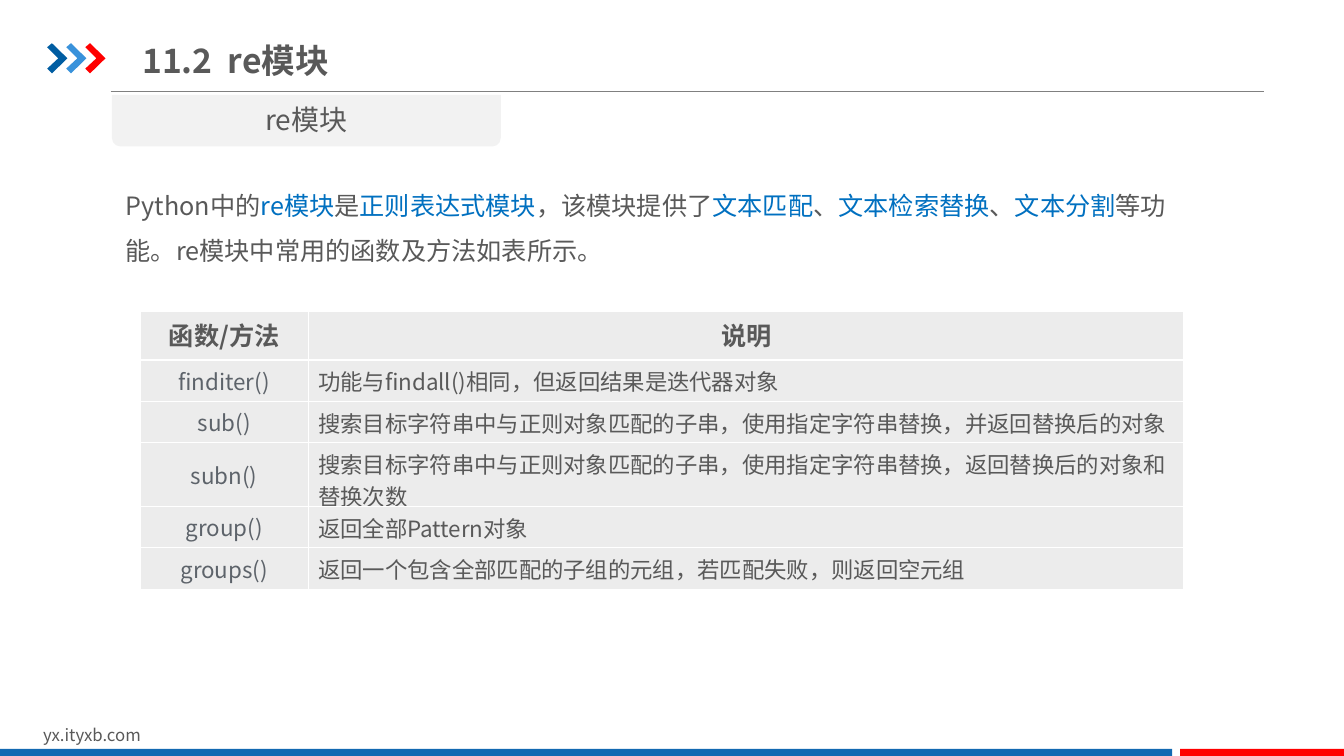
import pptx
import pptx.util
import pptx.dml.color
import pptx.enum.shapes
import pptx.enum.text
import pptx.oxml
import pptx.oxml.ns
from pptx.util import Cm

SHAPE = pptx.enum.shapes.MSO_SHAPE
ALIGN = pptx.enum.text.PP_ALIGN
ANCHOR = pptx.enum.text.MSO_ANCHOR
AUTO = pptx.enum.text.MSO_AUTO_SIZE
qn = pptx.oxml.ns.qn

FONT = "Noto Sans CJK SC"
GREY, BLUE, CODE = "595959", "0070C0", "5D636A"
CELL_FILL, RED = "ECECEC", "FF0000"


def rgb(value):
    return pptx.dml.color.RGBColor.from_string(value)


def apply(target, values):
    for name, value in values.items():
        setattr(target, name, value)


class Deck:
    """Holds the text style and the current slide."""

    def __init__(self, prs):
        self.s = prs.slides.add_slide(prs.slide_layouts[5])
        self.shapes = self.s.shapes

    def fill_text(self, tf, runs, size, para=None, frame=None, bold=False):
        """Fill a text frame with one paragraph of (text, colour) runs."""
        apply(tf, frame or {})
        p = tf.paragraphs[0]
        apply(p, para or {})
        for text, color in runs:
            r = p.add_run()
            r.text = text
            apply(r.font, {"size": pptx.util.Pt(size), "bold": bold, "name": FONT})
            r.font.color.rgb = rgb(color)
            props = r._r.get_or_add_rPr()
            props.find(qn("a:latin")).addnext(
                props.makeelement(qn("a:ea"), {"typeface": FONT}))
        return p

    def paint(self, sp, fill):
        sp.shadow.inherit = False
        sp.fill.solid()
        sp.fill.fore_color.rgb = rgb(fill)
        sp.line.fill.background()
        return sp

    def shape(self, kind, box, fill):
        return self.paint(self.shapes.add_shape(kind, *map(Cm, box)), fill)

    def outline(self, points, fill):
        points = [(Cm(x), Cm(y)) for x, y in points]
        builder = self.shapes.build_freeform(*points[0])
        builder.add_line_segments(points[1:], close=True)
        return self.paint(builder.convert_to_shape(), fill)

    def rule(self, ends, color, width):
        line = self.shapes.add_connector(
            pptx.enum.shapes.MSO_CONNECTOR.STRAIGHT, *map(Cm, ends))
        line.line.color.rgb = rgb(color)
        line.line.width = pptx.util.Pt(width)
        props = line._element.spPr
        props.append(props.makeelement(qn("a:effectLst"), {}))

    def text(self, box, runs, size, para=None, grow=True):
        tf = self.shapes.add_textbox(*map(Cm, box)).text_frame
        auto = AUTO.SHAPE_TO_FIT_TEXT if grow else AUTO.NONE
        self.fill_text(tf, runs, size, para, {"word_wrap": True, "auto_size": auto})

    def title(self, box, text, size):
        sp = self.shapes.title
        apply(sp, dict(zip(("left", "top", "width", "height"), map(Cm, box))))
        frame = {"word_wrap": True, "auto_size": AUTO.NONE,
                 "vertical_anchor": ANCHOR.MIDDLE}
        p = self.fill_text(sp.text_frame, [(text, GREY)], size,
                           {"alignment": ALIGN.LEFT}, frame, bold=True)
        props = p._p.get_or_add_pPr()
        props.set("marL", str(Cm(1.57)))
        props.set("indent", str(-Cm(1.57)))

    def cell(self, cell, text, color, size, align, narrow=False, bold=False):
        side, top = (0.18, 0) if narrow else (0.25, 0.13)
        apply(cell, {"margin_left": Cm(side), "margin_right": Cm(side),
                     "margin_top": Cm(top), "margin_bottom": Cm(top),
                     "vertical_anchor": ANCHOR.MIDDLE if narrow else ANCHOR.TOP})
        self.fill_text(cell.text_frame, [(text, color)], size,
                       {"alignment": align}, bold=bold)
        # Borders stand before the fill in the cell properties
        props = cell._tc.get_or_add_tcPr()
        for side_name in ("lnL", "lnR", "lnT", "lnB"):
            props.append(pptx.oxml.parse_xml(
                f'<a:{side_name} xmlns:a="http://schemas.openxmlformats.org/'
                'drawingml/2006/main" w="12700"><a:solidFill>'
                f'<a:srgbClr val="FFFFFF"/></a:solidFill></a:{side_name}>'))
        cell.fill.solid()
        cell.fill.fore_color.rgb = rgb(CELL_FILL)

    def table(self, left, top, widths, heights, rows):
        box = (left, top, sum(widths), sum(heights))
        table = self.shapes.add_table(
            len(rows), len(widths), *map(Cm, box)).table
        apply(table, {"first_row": False, "horz_banding": False})
        for column, width in zip(table.columns, widths):
            column.width = Cm(width)
        for i, (row, height) in enumerate(zip(rows, heights)):
            table.rows[i].height = Cm(height)
            for j, text in enumerate(row):
                head, name = i == 0, i > 0 and j == 0
                self.cell(table.cell(i, j), text, CODE if name else GREY,
                          18 if head else 16,
                          ALIGN.CENTER if head or name else ALIGN.LEFT,
                          narrow=name, bold=head)


def main():
    prs = pptx.Presentation()
    prs.slide_width, prs.slide_height = Cm(33.87), Cm(19.05)
    deck = Deck(prs)

    # Header: rule, three chevrons and title
    deck.rule((2.79, 2.31, 31.85, 2.31), "808080", 0.75)
    chevron = [(0, 0.1), (0.12, 0), (0.51, 0.38), (0.12, 0.76), (0, 0.64), (0.28, 0.38)]
    for i, color in enumerate(("005DA2", "3992DB", RED)):
        deck.outline([(1.19 + 0.48 * i + x, 1.09 + y) for x, y in chevron], color)
    deck.title((3.33, 0.74, 13.74, 1.55), "11.2  re模块", 24)

    # Footer: address and two bars
    deck.text((0.84, 18.14, 8.08, 0.76), [("yx.ityxb.com", GREY)], 12)
    deck.shape(SHAPE.RECTANGLE, (0, 18.87, 29.54, 0.18), "1369B2")
    deck.shape(SHAPE.RECTANGLE, (29.74, 18.87, 4.13, 0.18), RED)

    # Section tab
    tab = deck.shape(SHAPE.ROUND_2_SAME_RECTANGLE, (2.82, 2.39, 9.8, 1.3), "F2F2F2")
    tab.rotation = 180
    deck.text((2.82, 2.46, 9.8, 1.12), [("re模块", GREY)], 20,
              {"alignment": ALIGN.CENTER})

    # Introduction, with key terms in blue at every second place
    intro = ["Python中的", "re模块", "是", "正则表达式模块", "，该模块提供了",
             "文本匹配", "、", "文本检索替换", "、", "文本分割",
             "等功能。re模块中常用的函数及方法如表所示。"]
    deck.text((2.92, 4.29, 27.18, 2.95),
              [(t, BLUE if i % 2 else GREY) for i, t in enumerate(intro)],
              18, {"line_spacing": 1.5}, grow=False)

    # Table of functions
    deck.table(3.53, 7.85, (4.24, 22.07), (1.22, 1.04, 1.04, 1.6, 1.04, 1.04), [
        ("函数/方法", "说明"),
        ("finditer()", "功能与findall()相同，但返回结果是迭代器对象"),
        ("sub()", "搜索目标字符串中与正则对象匹配的子串，使用指定字符串替换，并返回替换后的对象"),
        ("subn()", "搜索目标字符串中与正则对象匹配的子串，使用指定字符串替换，返回替换后的对象和替换次数"),
        ("group()", "返回全部Pattern对象"),
        ("groups()", "返回一个包含全部匹配的子组的元组，若匹配失败，则返回空元组"),
    ])

    prs.save("out.pptx")


if __name__ == "__main__":
    main()
